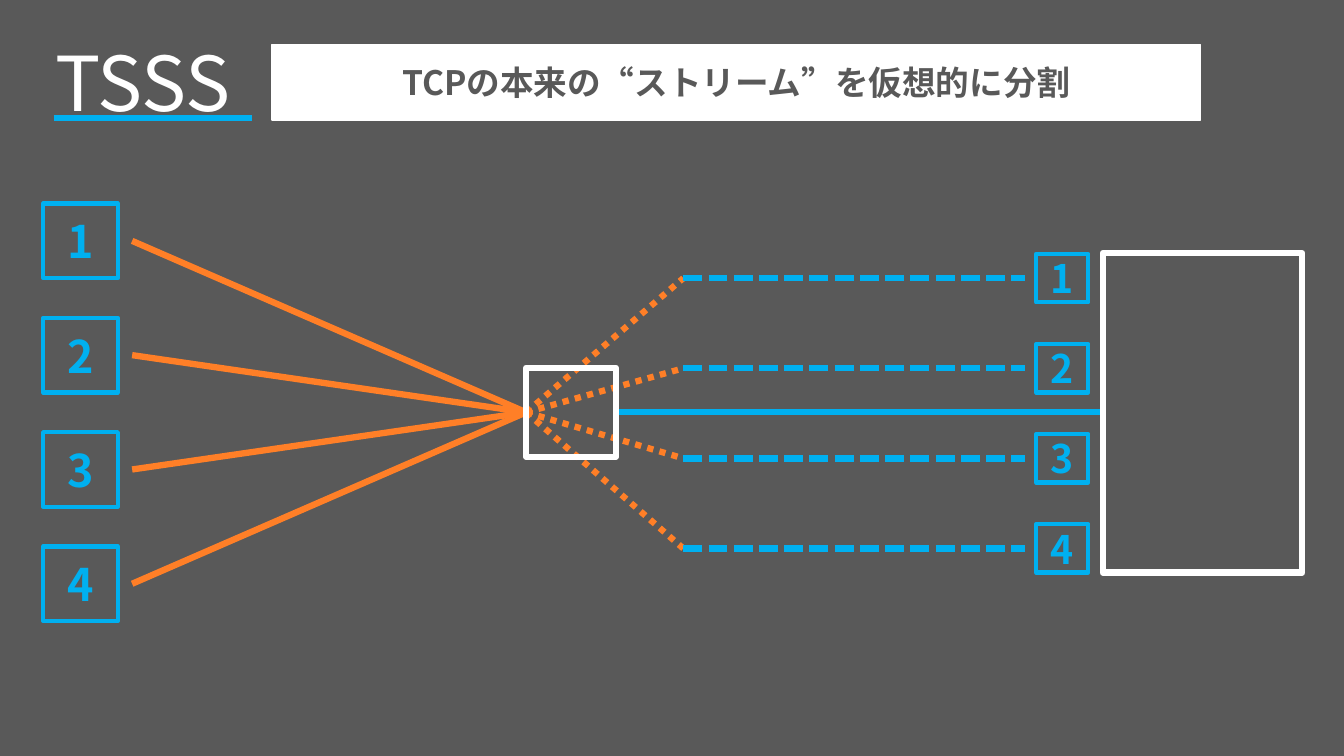
from lxml.etree import SubElement
from pptx import Presentation
from pptx.dml.color import RGBColor
from pptx.enum.dml import MSO_LINE as DASH
from pptx.enum.shapes import MSO_CONNECTOR, MSO_SHAPE
from pptx.enum.text import MSO_ANCHOR, MSO_AUTO_SIZE, PP_ALIGN
from pptx.oxml.ns import qn
from pptx.util import Cm, Pt

# Content
TITLE = "TSSS"
MESSAGE = "TCPの本来の“ストリーム”を仮想的に分割"
STREAMS = ["1", "2", "3", "4"]

# Style
FONT = "Noto Sans CJK JP"
GREY, WHITE, BLUE, ORANGE = "595959", "FFFFFF", "00B0F0", "FF7F27"

# Layout in centimetres: left, top, width, height
TITLE_BOX = (1.14, 0.79, 15.42, 4.88)
UNDERLINE = (1.35, 2.97, 6.35, 2.97)
BANNER = (6.86, 1.12, 23.39, 1.91)
HUB = (13.26, 9.27, 2.26, 2.24)
SERVER = (27.79, 6.38, 5.03, 8.05)
CLIENT, CLIENT_PITCH = (1.09, 5.13, 1.88, 1.88), 2.88
PORT, PORT_PITCH = (26.11, 6.4, 1.32, 1.22), 2.27
CLIENT_LINE_X, BEND_X, LANE_END_X = 3.33, 17.22, 25.82


def color(value):
    return RGBColor.from_string(value)


def set_text(sp, text, size, hue, bold=False, align=PP_ALIGN.CENTER,
             anchor=MSO_ANCHOR.MIDDLE):
    tf = sp.text_frame
    tf.text = text
    tf.word_wrap = True
    tf.auto_size = MSO_AUTO_SIZE.NONE
    tf.vertical_anchor = anchor
    p = tf.paragraphs[0]
    p.alignment = align
    p.font.size, p.font.bold, p.font.name = Pt(size), bold, FONT
    p.font.color.rgb = color(hue)
    # East Asian typeface
    r_pr = p.runs[0]._r.get_or_add_rPr()
    SubElement(r_pr, qn("a:ea")).set("typeface", FONT)


def add_box(s, box, outline, width, fill=None):
    sp = s.shapes.add_shape(MSO_SHAPE.RECTANGLE, *map(Cm, box))
    sp.shadow.inherit = False
    if fill:
        sp.fill.solid()
        sp.fill.fore_color.rgb = color(fill)
    else:
        sp.fill.background()
    sp.line.color.rgb = color(outline)
    sp.line.width = Pt(width)
    return sp


def add_line(s, ends, hue, dash=None):
    line = s.shapes.add_connector(MSO_CONNECTOR.STRAIGHT, *map(Cm, ends))
    line.line.color.rgb = color(hue)
    line.line.width = Pt(4.5)
    if dash:
        line.line.dash_style = dash
    SubElement(line._element.spPr, qn("a:effectLst"))


def add_column(s, first, pitch, size):
    """Stack the numbered squares and return their centre heights."""
    left, top, width, height = first
    centres = []
    for i, label in enumerate(STREAMS):
        y = top + i * pitch
        sp = add_box(s, (left, y, width, height), BLUE, 3, GREY)
        set_text(sp, label, size, BLUE, bold=True)
        centres.append(y + height / 2)
    return centres


def main():
    prs = Presentation()
    prs.slide_width, prs.slide_height = Cm(33.87), Cm(19.05)
    s = prs.slides.add_slide(prs.slide_layouts[5])
    s.background.fill.solid()
    s.background.fill.fore_color.rgb = color(GREY)

    # Title with underline and message banner
    title = s.shapes.title
    title.left, title.top, title.width, title.height = map(Cm, TITLE_BOX)
    set_text(title, TITLE, 54, WHITE, align=PP_ALIGN.LEFT,
             anchor=MSO_ANCHOR.TOP)
    add_line(s, UNDERLINE, BLUE)
    set_text(add_box(s, BANNER, WHITE, 1, WHITE), MESSAGE, 24, GREY, bold=True)

    # Real stream between hub and server
    hub_x, hub_y = HUB[0], HUB[1] + HUB[3] / 2
    add_line(s, (hub_x + HUB[2], hub_y, SERVER[0], hub_y), BLUE)
    add_box(s, SERVER, WHITE, 4.5)

    # Virtual streams: dotted fan, then dashed lanes to the ports
    for y in add_column(s, PORT, PORT_PITCH, 28):
        add_line(s, (hub_x, hub_y, BEND_X, y), ORANGE, DASH.ROUND_DOT)
        add_line(s, (BEND_X, y, LANE_END_X, y), BLUE, DASH.SQUARE_DOT)

    # Clients converging on the hub
    for y in add_column(s, CLIENT, CLIENT_PITCH, 32):
        add_line(s, (CLIENT_LINE_X, y, hub_x, hub_y), ORANGE)
    add_box(s, HUB, WHITE, 4.5)

    prs.save("out.pptx")


if __name__ == "__main__":
    main()
